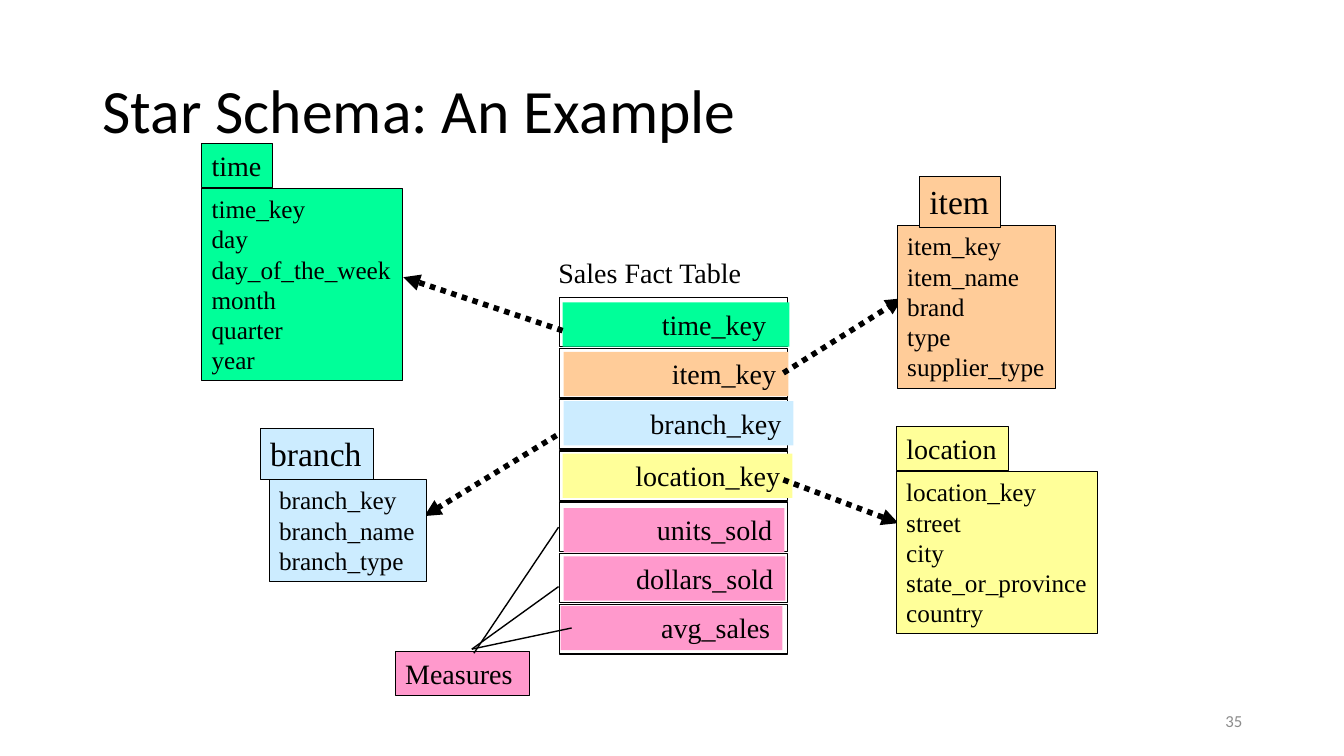
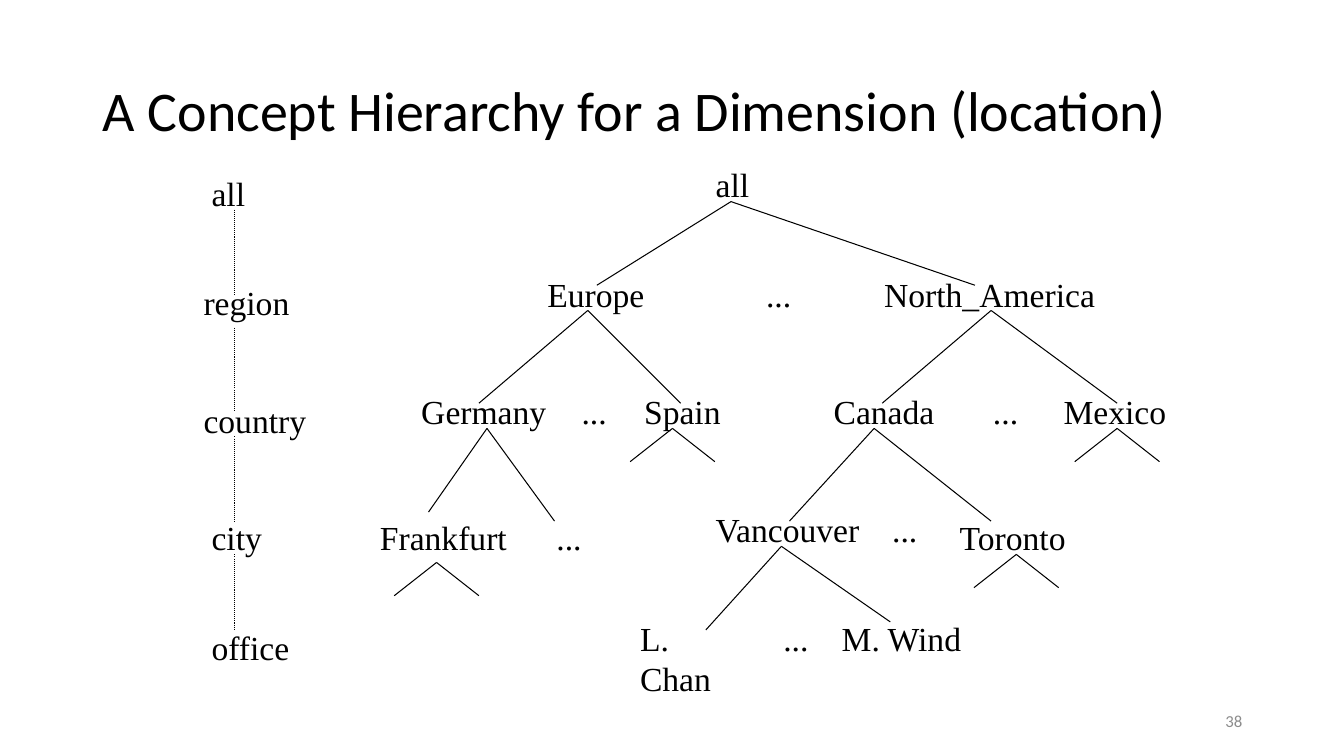
import pptx
import pptx.util
import pptx.dml.color
import pptx.enum.dml
import pptx.enum.shapes
import pptx.enum.text
import pptx.oxml.ns
import lxml.etree

Inches = pptx.util.Inches
Pt = pptx.util.Pt
RGBColor = pptx.dml.color.RGBColor
ALIGN = pptx.enum.text.PP_ALIGN
ANCHOR = pptx.enum.text.MSO_ANCHOR

BLACK = RGBColor(0x00, 0x00, 0x00)
GRAY = RGBColor(0x8C, 0x8C, 0x8C)
GREEN = RGBColor(0x00, 0xFF, 0x99)
ORANGE = RGBColor(0xFF, 0xCC, 0x99)
BLUE = RGBColor(0xCC, 0xEC, 0xFF)
YELLOW = RGBColor(0xFF, 0xFF, 0x99)
PINK = RGBColor(0xFF, 0x99, 0xCC)
SANS = "Calibri"
SERIF = "Times New Roman"

DIMENSIONS = [
    (GREEN, ("time", 20, (2, 1.42, 0.7, 0.44)), (2, 1.87, 1.99, 1.91),
     ["time_key", "day", "day_of_the_week", "month", "quarter", "year"]),
    (YELLOW, ("location", 20, (8.89, 4.23, 1.11, 0.44)), (8.89, 4.68, 2, 1.61),
     ["location_key", "street", "city", "state_or_province", "country"]),
    (ORANGE, ("item", 24, (9.12, 1.75, 0.8, 0.51)), (8.9, 2.24, 1.57, 1.61),
     ["item_key", "item_name", "brand", "type", "supplier_type"]),
    (BLUE, ("branch", 24, (2.58, 4.25, 1.12, 0.51)), (2.67, 4.76, 1.56, 1.01),
     ["branch_key", "branch_name", "branch_type"]),
]
FACT_LEFT, FACT_TOP, FACT_WIDTH, FACT_HEIGHT, FACT_PITCH = 5.55, 2.95, 2.26, 0.49, 0.508
FACT_ROWS = [
    ("time_key", GREEN, 5.58, 3, 2.25, 0.23),
    ("item_key", ORANGE, 5.59, 3.49, 2.23, 0.12),
    ("branch_key", BLUE, 5.59, 3.98, 2.28, 0.12),
    ("location_key", YELLOW, 5.58, 4.5, 2.28, 0.12),
    ("units_sold", PINK, 5.59, 5.04, 2.19, 0.12),
    ("dollars_sold", PINK, 5.59, 5.52, 2.2, 0.12),
    ("avg_sales", PINK, 5.56, 6.01, 2.2, 0.12),
]
MEASURE_LINES = [((4.7, 6.48), (5.54, 5.23)), ((4.68, 6.44), (5.54, 5.82)),
                 ((4.68, 6.44), (5.67, 6.23))]
KEY_ARROWS = [((5.52, 4.32), (4.21, 5.12)), ((5.58, 3.28), (4, 2.75)),
              ((7.77, 4.76), (8.91, 5.19)), ((7.77, 3.7), (8.95, 2.96))]

LEVELS = [("all", 2, 1.67, 0.53), ("region", 1.92, 2.75, 1.05), ("country", 1.92, 3.92, 1.22),
          ("city", 2, 5.08, 0.7), ("office", 2, 6.17, 0.98)]
LEVEL_X = 2.33
LEVEL_LINKS = [(2.08, 2.92), (3.25, 4.08), (4.33, 5.17), (5.5, 6.25)]
MEMBERS = [
    ("all", 7, 1.58, 0.53),
    ("Europe", 5.33, 2.67, 1.16), ("North_America", 8.67, 2.67, 2.29),
    ("Germany", 4.08, 3.83, 1.44), ("Spain", 6.29, 3.83, 0.96),
    ("Canada", 8.17, 3.83, 1.2), ("Mexico", 10.45, 3.83, 1.22),
    ("Frankfurt", 3.67, 5.08, 1.46), ("Vancouver", 7, 5, 1.66), ("Toronto", 9.42, 5.08, 1.27),
    ("L. Chan", 6.25, 6.08, 1.27), ("M. Wind", 8.25, 6.08, 1.4),
]
ELLIPSES = [(7.5, 2.67), (5.67, 3.83), (9.75, 3.83), (5.42, 5.08), (8.75, 5), (7.67, 6.08)]
FORKS = [
    ((7.25, 2), (5.92, 2.83), (9.67, 2.83)),
    ((5.83, 3.08), (4.75, 4), (6.75, 4)),
    ((9.83, 3.08), (8.75, 4), (11.08, 4)),
    ((4.83, 4.25), (4.25, 5.08), (5.5, 5.17)),
    ((8.67, 4.25), (7.83, 5.17), (9.83, 5.17)),
    ((7.75, 5.42), (7, 6.25), (8.83, 6.17)),
]
TWIGS = [(6.67, 4.25), (11.08, 4.25), (4.33, 5.58), (10.08, 5.5)]


def write(shape, lines, size, font=SERIF, color=BLACK, align=ALIGN.LEFT,
          anchor=ANCHOR.TOP, wrap=False, spacing=None):
    frame = shape.text_frame
    frame.word_wrap = wrap
    frame.vertical_anchor = anchor
    for index, line in enumerate(lines):
        paragraph = frame.add_paragraph() if index else frame.paragraphs[0]
        paragraph.text = line
        paragraph.alignment = align
        if spacing:
            paragraph.line_spacing = spacing
        paragraph.font.size = Pt(size)
        paragraph.font.name = font
        paragraph.font.color.rgb = color


def add_text(slide, box, text, size, **style):
    write(slide.shapes.add_textbox(*map(Inches, box)), [text], size, **style)


def add_box(slide, box, fill=None, line_width=None):
    shape = slide.shapes.add_shape(pptx.enum.shapes.MSO_SHAPE.RECTANGLE, *map(Inches, box))
    shape.shadow.inherit = False
    if fill is None:
        shape.fill.background()
    else:
        shape.fill.solid()
        shape.fill.fore_color.rgb = fill
    if line_width is None:
        shape.line.fill.background()
    else:
        shape.line.color.rgb = BLACK
        shape.line.width = Pt(line_width)
    return shape


def add_line(slide, start, end, width=0.75, dotted=False, arrow=False):
    connector = slide.shapes.add_connector(
        pptx.enum.shapes.MSO_CONNECTOR.STRAIGHT, *map(Inches, (*start, *end)))
    connector.line.color.rgb = BLACK
    connector.line.width = Pt(width)
    if dotted:
        connector.line.dash_style = pptx.enum.dml.MSO_LINE.ROUND_DOT
    qn = pptx.oxml.ns.qn
    properties = connector._element.spPr
    if arrow:
        lxml.etree.SubElement(properties.find(qn("a:ln")), qn("a:tailEnd"), type="triangle")
    lxml.etree.SubElement(properties, qn("a:effectLst"))


def add_slide(presentation, title, title_size, number):
    slide = presentation.slides.add_slide(presentation.slide_layouts[6])
    add_text(slide, (0.92, 0.4, 11.5, 1.45), title, title_size, font=SANS,
             anchor=ANCHOR.MIDDLE, wrap=True, spacing=0.9)
    add_text(slide, (9.42, 6.95, 3, 0.4), str(number), 12, font=SANS, color=GRAY,
             align=ALIGN.RIGHT, anchor=ANCHOR.MIDDLE, wrap=True)
    return slide


def add_dimension(slide, color, header, body_box, fields):
    name, size, header_box = header
    write(add_box(slide, body_box, color, 0.75), fields, 18)
    write(add_box(slide, header_box, color, 0.75), [name], size)


def add_fact_table(slide):
    add_text(slide, (5.44, 2.49, 2.03, 0.44), "Sales Fact Table", 20)
    for index, (name, color, left, top, width, inset) in enumerate(FACT_ROWS):
        add_box(slide, (FACT_LEFT, FACT_TOP + index * FACT_PITCH, FACT_WIDTH, FACT_HEIGHT),
                line_width=1)
        key = add_box(slide, (left, top, width, 0.44), color)
        key.text_frame.margin_right = Inches(inset)
        write(key, [name], 20, align=ALIGN.RIGHT, wrap=True)


def build_star_schema(presentation):
    slide = add_slide(presentation, "Star Schema: An Example", 44, 35)
    add_fact_table(slide)
    write(add_box(slide, (3.92, 6.46, 1.33, 0.44), PINK, 0.75), ["Measures"], 20, wrap=True)
    for start, end in MEASURE_LINES:
        add_line(slide, start, end, width=1)
    for start, end in KEY_ARROWS:
        add_line(slide, start, end, width=4, dotted=True, arrow=True)
    for dimension in DIMENSIONS:
        add_dimension(slide, *dimension)


def add_fork(slide, apex, left, right):
    add_line(slide, apex, left)
    add_line(slide, apex, right)


def build_hierarchy(presentation):
    slide = add_slide(presentation, "A Concept Hierarchy for a Dimension (location)", 40, 38)
    dots = [("...", left, top, 0.45) for left, top in ELLIPSES]
    for text, left, top, width in LEVELS + MEMBERS + dots:
        add_text(slide, (left, top, width, 0.5), text, 24)
    for top, bottom in LEVEL_LINKS:
        add_line(slide, (LEVEL_X, top), (LEVEL_X, bottom), dotted=True)
    for fork in FORKS:
        add_fork(slide, *fork)
    for x, y in TWIGS:
        add_fork(slide, (x, y), (x - 0.42, y + 0.33), (x + 0.42, y + 0.33))


def main():
    presentation = pptx.Presentation()
    presentation.slide_width = Inches(13.33)
    presentation.slide_height = Inches(7.5)
    build_star_schema(presentation)
    build_hierarchy(presentation)
    presentation.save("out.pptx")


if __name__ == "__main__":
    main()
